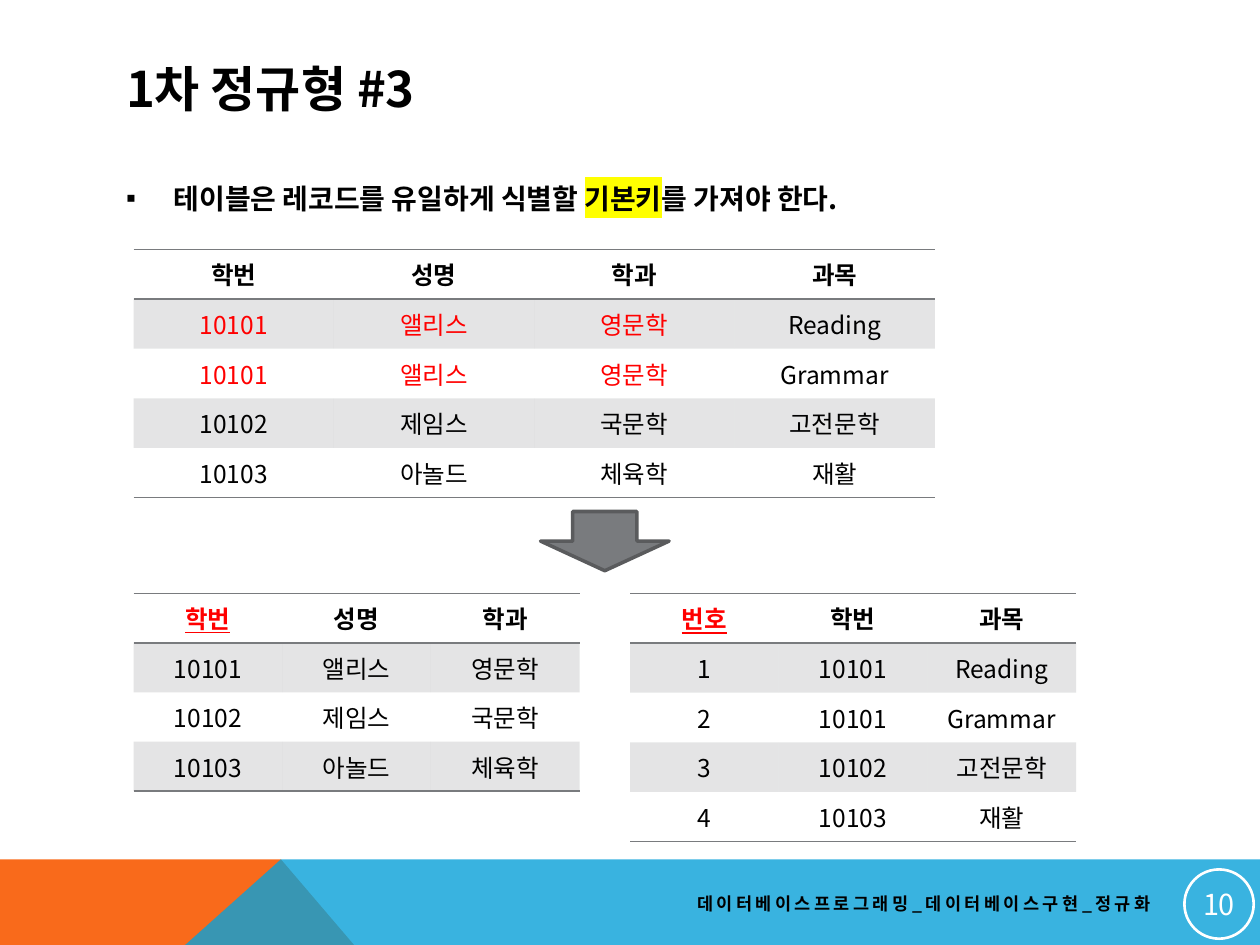
from dataclasses import dataclass

from lxml.etree import SubElement
from pptx import Presentation
from pptx.dml.color import RGBColor
from pptx.enum.shapes import MSO_SHAPE
from pptx.enum.text import MSO_ANCHOR, PP_ALIGN
from pptx.oxml import parse_xml
from pptx.oxml.ns import nsdecls, qn
from pptx.util import Inches, Pt


@dataclass(frozen=True)
class Theme:
    """Colours, font and type sizes of the deck."""
    font: str = "Noto Sans CJK KR"
    black: str = "000000"
    white: str = "FFFFFF"
    red: str = "FF0000"
    yellow: str = "FFFF00"
    orange: str = "F96A1B"
    blue: str = "08A1D9"
    gray: str = "797B7E"
    dark: str = "5A5B5D"
    title: float = 28
    body: float = 16
    cell: float = 14
    footer: float = 10
    number: float = 16.5


T = Theme()


def assign(obj, values):
    """Set every attribute named in a dict."""
    for name, value in values.items():
        setattr(obj, name, value)


def place(shape, box):
    """Move a shape to a box given in inches."""
    names = ("left", "top", "width", "height")
    assign(shape, dict(zip(names, map(Inches, box))))


def add_run(p, text, size, color=T.black, **fmt):
    """Add a formatted run to a paragraph."""
    r = p.add_run()
    r.text = text
    assign(r.font, {"size": Pt(size), "name": T.font, **fmt})
    r.font.color.rgb = RGBColor.from_string(color)
    SubElement(r.font._element, qn("a:ea"), typeface=T.font)
    return r


def paint(fill, color, alpha=None):
    """Fill with a colour, optionally with an opacity in percent."""
    fill.solid()
    fill.fore_color.rgb = RGBColor.from_string(color)
    if alpha:
        clr = fill._xPr.find(qn("a:solidFill"))[0]
        SubElement(clr, qn("a:alpha"), val=str(alpha * 1000))


def style(sp, fill, line=None, width=0, alpha=None):
    """Give a shape its fill and outline, without shadow."""
    sp.shadow.inherit = False
    if fill:
        paint(sp.fill, fill, alpha)
    else:
        sp.fill.background()
    if line:
        paint(sp.line.fill, line)
        sp.line.width = Pt(width)
    else:
        sp.line.fill.background()


def add_title(s, box, text):
    """Fill the title placeholder."""
    sp = s.shapes.title
    place(sp, box)
    tf = sp.text_frame
    tf.vertical_anchor = MSO_ANCHOR.MIDDLE
    p = tf.paragraphs[0]
    p.alignment = PP_ALIGN.LEFT
    add_run(p, text, T.title, bold=True)


def add_bullet(s, box, parts):
    """Fill the body placeholder with one bullet; marked parts are highlighted."""
    sp = s.placeholders[1]
    place(sp, box)
    p = sp.text_frame.paragraphs[0]
    p.space_before = Pt(8)
    pPr = p._p.get_or_add_pPr()
    indent = Inches(0.38)
    pPr.set("marL", str(indent))
    pPr.set("indent", str(-indent))
    SubElement(pPr, qn("a:buChar"), char="▪")
    for text, marked in parts:
        r = add_run(p, text, T.body, bold=True)
        if marked:
            r.font._element.find(qn("a:solidFill")).addnext(parse_xml(
                f'<a:highlight {nsdecls("a")}><a:srgbClr val="{T.yellow}"/></a:highlight>'))


def add_rules(cell, sides):
    """Draw thin gray rules on the named sides of a cell."""
    tcPr = cell._tc.get_or_add_tcPr()
    for side in sides:
        ln = SubElement(tcPr, qn(f"a:ln{side}"), w=str(Pt(1)))
        SubElement(SubElement(ln, qn("a:solidFill")), qn("a:srgbClr"), val=T.gray)


def add_grid(s, box, rows, key=False, red=()):
    """Add a banded table; key underlines the first heading, red lists (row, column) cells."""
    n, m = len(rows), len(rows[0])
    frame = s.shapes.add_table(n, m, *map(Inches, box))
    frame._element.xpath(".//a:tableStyleId")[0].text = "{2D5ABB26-0587-4C30-8999-92F81FD0307C}"
    for i, row in enumerate(rows):
        for j, text in enumerate(row):
            cell = frame.table.cell(i, j)
            cell.vertical_anchor = MSO_ANCHOR.MIDDLE
            p = cell.text_frame.paragraphs[0]
            p.alignment = PP_ALIGN.CENTER
            is_key = key and i == j == 0
            color = T.red if is_key or (i, j) in red else T.black
            add_run(p, text, T.cell, color, bold=i == 0, underline=is_key)
            add_rules(cell, "TB" if i == 0 else "B" if i == n - 1 else "")
            if i % 2:
                paint(cell.fill, T.gray, 20)
            else:
                cell.fill.background()


def add_arrow(s, box):
    """Add the gray arrow between the tables."""
    style(s.shapes.add_shape(MSO_SHAPE.DOWN_ARROW, *map(Inches, box)), T.gray, T.dark, 2)


def add_footer(s, box, text, number):
    """Add the coloured band with the course name and the page number."""
    x, y, w, h = box
    bottom = y + h
    peak = (x + 2.23, y)
    bands = (
        ([(x, y), peak, (x + 2.81, bottom), (x, bottom)], T.orange, None),
        ([peak, (x + w, y), (x + w, bottom), (x + 1.47, bottom)], T.blue, 80),
    )
    for points, color, alpha in bands:
        points = [(Inches(a), Inches(b)) for a, b in points]
        fb = s.shapes.build_freeform(*points[0])
        fb.add_line_segments(points[1:])
        style(fb.convert_to_shape(), color, alpha=alpha)

    tf = s.shapes.add_textbox(*map(Inches, (x + 4.06, y + 0.2, 5.17, 0.3))).text_frame
    assign(tf, {"word_wrap": True, "vertical_anchor": MSO_ANCHOR.MIDDLE})
    p = tf.paragraphs[0]
    p.alignment = PP_ALIGN.RIGHT
    add_run(p, text, T.footer, bold=True).font._element.set("spc", "200")

    sp = s.shapes.add_shape(MSO_SHAPE.OVAL, *map(Inches, (x + 9.4, y + 0.08, 0.55, 0.55)))
    style(sp, None, T.white, 1.5)
    tf = sp.text_frame
    sides = ("left", "top", "right", "bottom")
    assign(tf, {f"margin_{side}": Inches(0.01) for side in sides})
    tf.vertical_anchor = MSO_ANCHOR.MIDDLE
    p = tf.paragraphs[0]
    p.alignment = PP_ALIGN.CENTER
    add_run(p, number, T.number, T.white)


def main():
    """Build the slide and save it."""
    prs = Presentation()
    assign(prs, {"slide_width": Inches(10), "slide_height": Inches(7.5)})
    s = prs.slides.add_slide(prs.slide_layouts[1])
    add_footer(s, (0, 6.82, 10, 0.68), "데이터베이스프로그래밍_데이터베이스구현_정규화", "10")
    add_title(s, (0.9, 0.4, 8.22, 0.6), "1차 정규형 #3")
    add_bullet(s, (0.9, 1.39, 8.22, 0.5), [
        ("테이블은 레코드를 유일하게 식별할 ", False),
        ("기본키", True),
        ("를 가져야 한다.", False),
    ])
    students = [
        ("학번", "성명", "학과"),
        ("10101", "앨리스", "영문학"),
        ("10102", "제임스", "국문학"),
        ("10103", "아놀드", "체육학"),
    ]
    courses = [
        ("번호", "학번", "과목"),
        ("1", "10101", "Reading"),
        ("2", "10101", "Grammar"),
        ("3", "10102", "고전문학"),
        ("4", "10103", "재활"),
    ]
    by_id = {row[0]: row for row in students}
    joined = [by_id[sid] + (course,) for _, sid, course in courses]
    repeated = [(i, j) for i in (1, 2) for j in range(3)]
    add_grid(s, (1.06, 1.98, 6.36, 1.97), joined, red=repeated)
    add_arrow(s, (4.29, 4.06, 1.02, 0.47))
    add_grid(s, (1.06, 4.71, 3.54, 1.57), students, key=True)
    add_grid(s, (5, 4.71, 3.54, 1.97), courses, key=True)
    prs.save("out.pptx")


main()
